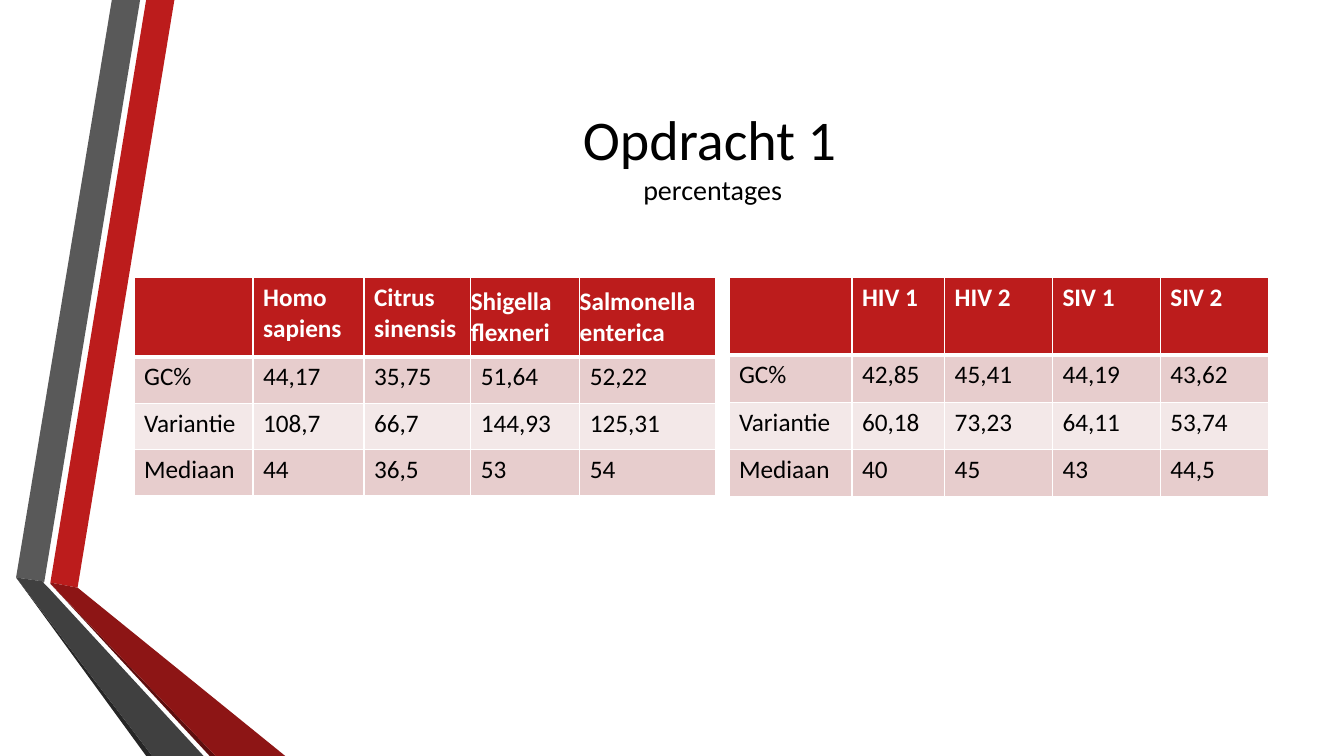
"""Build the slide 'Opdracht 1' with two tables of percentages."""
import dataclasses

import lxml.etree
import pptx
import pptx.dml.color
import pptx.enum.text
import pptx.oxml.ns
import pptx.util

PX = 9144
SLIDE = (1333, 750)

TITLE_BOX = (162, 75, 1096, 158)
TITLE = "Opdracht 1 \vpercentages "

RIBBONS = [
    ("red", [(50, 578), (77, 583), (173, 0), (145, 0)]),
    ("grey", [(139, 0), (111, 0), (16, 573), (44, 577)]),
    ("grey_edge", [(16, 573), (145, 750), (151, 750)]),
    ("red_edge", [(50, 579), (208, 750), (214, 750)]),
    ("red_fold", [(50, 578), (50, 579), (214, 750), (283, 750), (77, 583)]),
    ("grey_fold", [(202, 750), (48, 583), (43, 578), (44, 577), (16, 573), (151, 750)]),
]

TABLES = [
    {
        "left": 133, "top": 275,
        "cols": [118, 110, 106, 108, 135],
        "rows": [79, 46, 46, 46],
        "tight": {3, 4},
        "cells": [
            ["", "Homo sapiens", "Citrus\nsinensis", "Shigella flexneri", "Salmonella enterica"],
            ["GC%", "44,17", "35,75", "51,64", "52,22"],
            ["Variantie", "108,7", "66,7", "144,93", "125,31"],
            ["Mediaan", "44", "36,5", "53", "54"],
        ],
    },
    {
        "left": 723, "top": 275,
        "cols": [122, 92, 107, 107, 107],
        "rows": [77, 47, 47, 47],
        "tight": set(),
        "cells": [
            ["", "HIV 1", "HIV 2", "SIV 1", "SIV 2"],
            ["GC%", "42,85", "45,41", "44,19", "43,62"],
            ["Variantie", "60,18", "73,23", "64,11", "53,74"],
            ["Mediaan", "40", "45", "43", "44,5"],
        ],
    },
]


@dataclasses.dataclass(frozen=True)
class Theme:
    font: str = "Calibri"
    title: int = 40
    subtitle: int = 20
    body: int = 18
    thin: int = 1
    thick: int = 3
    text: str = "000000"
    white: str = "FFFFFF"
    red: str = "BC1C1C"
    grey: str = "595959"
    grey_edge: str = "262626"
    red_edge: str = "5E0E0E"
    red_fold: str = "8D1515"
    grey_fold: str = "404040"
    bands: tuple = ("F3E8E8", "E7CDCD")


THEME = Theme()


def rgb(color):
    return pptx.dml.color.RGBColor.from_string(color)


def style(r, size, color, bold=False):
    r.font.name = THEME.font
    r.font.size = pptx.util.Pt(size)
    r.font.color.rgb = rgb(color)
    r.font.bold = bold


def add_ribbon(s, color, points):
    builder = s.shapes.build_freeform(*points[0], scale=PX)
    builder.add_line_segments(points[1:], close=True)
    sp = builder.convert_to_shape()
    sp.shadow.inherit = False
    sp.fill.solid()
    sp.fill.fore_color.rgb = rgb(getattr(THEME, color))
    sp.line.fill.background()


def add_title(s):
    tf = s.shapes.add_textbox(*(v * PX for v in TITLE_BOX)).text_frame
    tf.word_wrap = True
    tf.vertical_anchor = pptx.enum.text.MSO_ANCHOR.MIDDLE
    p = tf.paragraphs[0]
    p.text = TITLE
    p.alignment = pptx.enum.text.PP_ALIGN.CENTER
    for r, size in zip(p.runs, (THEME.title, THEME.subtitle)):
        style(r, size, THEME.text)


def add_borders(cell, row):
    qn = pptx.oxml.ns.qn
    tcPr = cell._tc.get_or_add_tcPr()
    thick_side = {0: "lnB", 1: "lnT"}.get(row)
    for side in ("lnL", "lnR", "lnT", "lnB"):
        width = THEME.thick if side == thick_side else THEME.thin
        ln = lxml.etree.SubElement(tcPr, qn(f"a:{side}"), w=str(pptx.util.Pt(width)))
        fill = lxml.etree.SubElement(ln, qn("a:solidFill"))
        lxml.etree.SubElement(fill, qn("a:srgbClr"), val=THEME.white)


def fill_cell(cell, text, row, tight):
    header = row == 0
    add_borders(cell, row)
    cell.fill.solid()
    cell.fill.fore_color.rgb = rgb(THEME.red if header else THEME.bands[row % 2])
    cell.text_frame.text = text
    if tight:
        cell.margin_left = cell.margin_right = cell.margin_top = cell.margin_bottom = 0
        cell.vertical_anchor = pptx.enum.text.MSO_ANCHOR.MIDDLE
    for p in cell.text_frame.paragraphs:
        for r in p.runs:
            style(r, THEME.body, THEME.white if header else THEME.text, header)


def add_data_table(s, data):
    cols, rows = data["cols"], data["rows"]
    frame = (data["left"], data["top"], sum(cols), sum(rows))
    table = s.shapes.add_table(len(rows), len(cols), *(v * PX for v in frame)).table
    for column, width in zip(table.columns, cols):
        column.width = width * PX
    for i, height in enumerate(rows):
        table.rows[i].height = height * PX
        for j, text in enumerate(data["cells"][i]):
            fill_cell(table.cell(i, j), text, i, i == 0 and j in data["tight"])


def main():
    prs = pptx.Presentation()
    prs.slide_width, prs.slide_height = (v * PX for v in SLIDE)
    s = prs.slides.add_slide(prs.slide_layouts[6])
    for color, points in RIBBONS:
        add_ribbon(s, color, points)
    add_title(s)
    for data in TABLES:
        add_data_table(s, data)
    prs.save("out.pptx")


if __name__ == "__main__":
    main()
